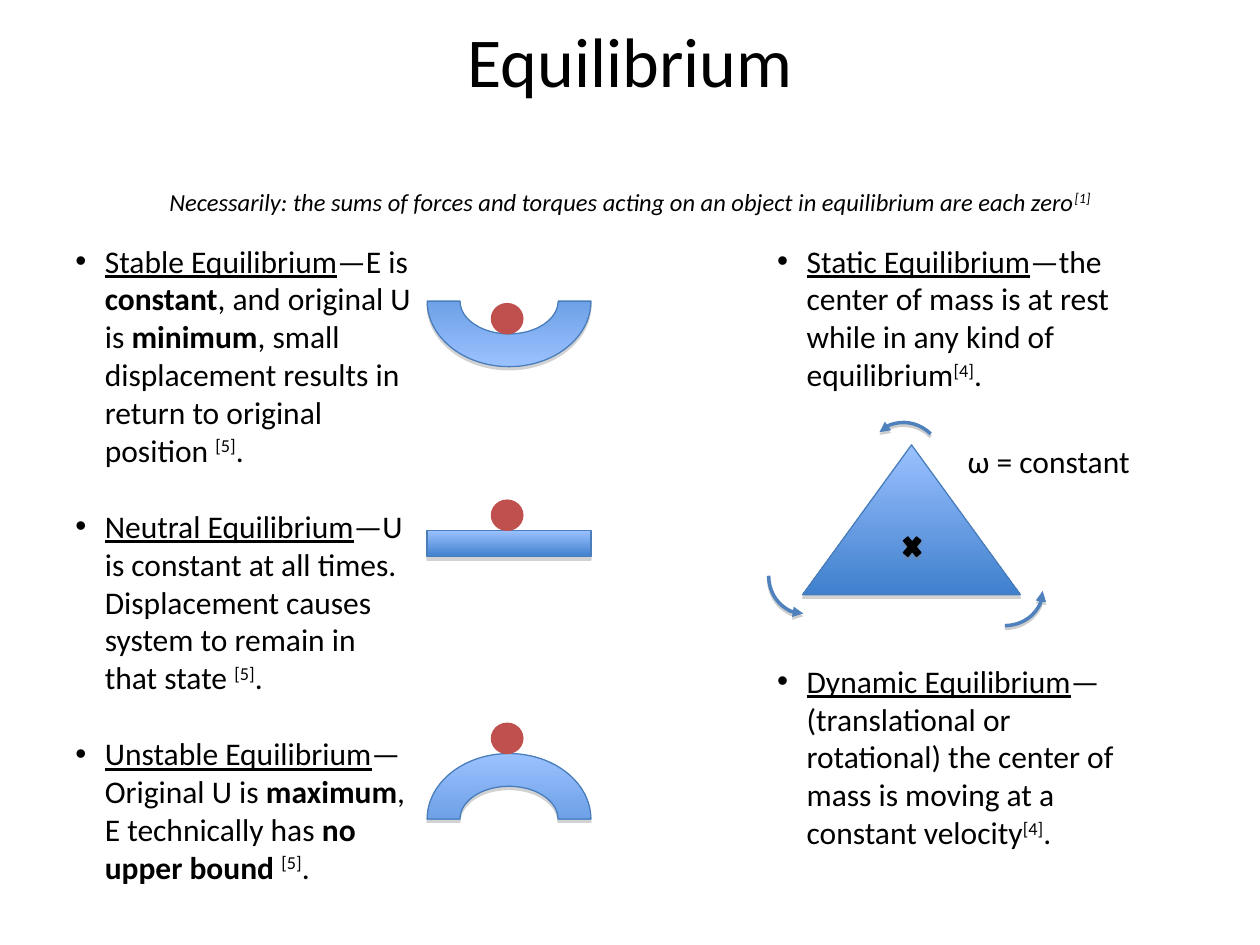
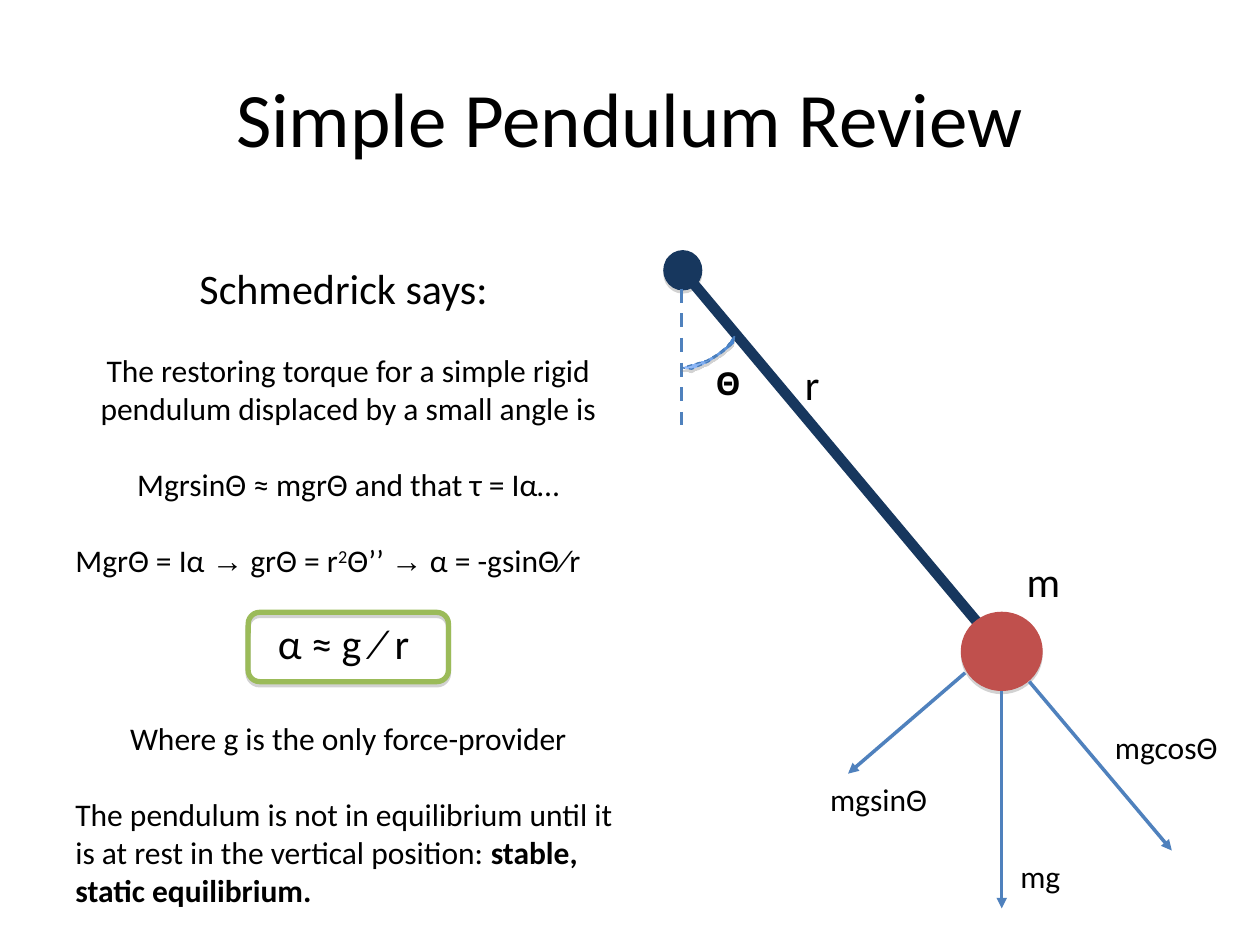
from dataclasses import dataclass

from lxml.etree import SubElement
from pptx import Presentation
from pptx.dml.color import RGBColor
from pptx.enum.dml import MSO_LINE
from pptx.enum.shapes import MSO_CONNECTOR, MSO_SHAPE
from pptx.enum.text import MSO_ANCHOR, PP_ALIGN
from pptx.oxml.ns import qn
from pptx.util import Pt


@dataclass(frozen=True)
class Theme:
    font: str = "Calibri"
    arrow_font: str = "Arial"
    angle_font: str = "Open Sans"
    black: str = "000000"
    red: str = "C0504D"
    navy: str = "17375E"
    blue: str = "4F81BD"
    outline: str = "4A7EBB"
    green: str = "9BBB59"
    light: str = "9BC1FF"
    dark: str = "3F80CD"
    shadow: str = "808080"
    title: int = 44
    title_small: int = 40
    large: int = 24
    body: int = 18
    note: int = 14
    hairline: float = 0.75
    arrow: float = 2
    frame: float = 3
    rod: float = 6
    indent: float = 16.88


T = Theme()
LINE = T.body * 1.22
TITLE_BOX = (36, 21.6, 648, 90)

EQUILIBRIUM_TITLE = [
    dict(runs=[("Equilibrium", "")], size=T.title_small, center=True),
    dict(runs=[("Necessarily: the sums of forces and torques acting on an object "
                "in equilibrium are each zero", "i"), ("[1]", "i^")],
         size=T.note, center=True, gap=T.title_small * 1.22),
]
ENERGY_BOX = (36, 134.6, 208, 396)
ENERGY = [
    dict(bullet=True, runs=[
        ("Stable Equilibrium", "u"), ("—E is ", ""), ("constant", "b"),
        (", and original U is ", ""), ("minimum", "b"),
        (", small displacement results in return to original position ", ""),
        ("[5]", "^"), (".", "")]),
    dict(bullet=True, gap=LINE, runs=[
        ("Neutral Equilibrium", "u"),
        ("—U is constant at all times. Displacement causes system to remain "
         "in that state ", ""), ("[5]", "^"), (".", "")]),
    dict(bullet=True, gap=LINE, runs=[
        ("Unstable Equilibrium", "u"), ("—Original U is ", ""), ("maximum", "b"),
        (", E technically has ", ""), ("no upper bound ", "b"),
        ("[5]", "^"), (".", "")]),
]
MOTION_BOX = (437, 134.6, 219.6, 352.8)
MOTION = [
    dict(bullet=True, runs=[
        ("Static Equilibrium", "u"),
        ("—the center of mass is at rest while in any kind of equilibrium", ""),
        ("[4]", "^"), (".", "")]),
    dict(bullet=True, gap=7 * LINE, runs=[
        ("Dynamic Equilibrium", "u"),
        ("—(translational or rotational) the center of mass is moving at a "
         "constant velocity", ""), ("[4]", "^"), (".", "")]),
]
SURFACE_LEFT, SURFACE_WIDTH = 244.1, 93.6
BALL_LEFT, BALL_WIDTH, BALL_HEIGHT = 280.8, 18, 17.3
SURFACES = [
    (MSO_SHAPE.BLOCK_ARC, 134.6, 74.9, 180, 0.75),
    (MSO_SHAPE.BLOCK_ARC, 430.6, 74.9, 0, 0),
    (MSO_SHAPE.RECTANGLE, 303.1, 15.1, 0, 0),
]
TRIANGLE = (458.6, 254.2, 124.6, 85.7)
MASS_CENTER = (514.1, 303.8, 14.4, 17.3)
SPIN_SIZE = (39.6, 43.2)
SPINS = [(498.2, 240.5, 314.4), (439.2, 307.4, 180), (554.4, 316.1, 90)]
OMEGA = ("ω = constant", (545.8, 249.1, 114.5, 28.8), T.body)

PENDULUM_TITLE = [
    dict(runs=[("Simple Pendulum Review", "")], size=T.title, center=True)]
DERIVATION_BOX = (36, 146.2, 326.2, 390)
DERIVATION = [
    dict(center=True, size=T.large, runs=[("Schmedrick says: ", "")]),
    dict(center=True, gap=LINE, runs=[
        ("The restoring torque for a simple rigid pendulum displaced by a "
         "small angle is", "")]),
    dict(center=True, gap=LINE, runs=[("MgrsinΘ ≈ mgrΘ and that τ = Ια…", "")]),
    dict(gap=LINE, runs=[
        ("MgrΘ = Ια ", ""), ("→", "a"), (" grΘ = r", ""), ("2", "^"),
        ("Θ’’ ", ""), ("→", "a"), (" α = -gsinΘ⁄r", "")]),
    dict(center=True, gap=LINE, size=T.large, runs=[("α ≈ g ⁄ r ", "")]),
    dict(center=True, gap=T.large * 1.22,
         runs=[("Where g is the only force-provider", "")]),
    dict(gap=LINE, runs=[
        ("The pendulum is not in equilibrium until it is at rest in the "
         "vertical position: ", ""), ("stable, static equilibrium.", "b")]),
]
RESULT_FRAME = (141.8, 349.9, 114.5, 39.6)
PIVOT = (379.4, 143.3, 21.6, 22.3)
BOB = (549.4, 349.9, 46.1, 44.6)
ROD = ((383, 146.2), (572.4, 372.2))
VERTICAL = ((389.5, 164.9), (389.5, 242.6))
FORCES = [
    ((551.5, 384.5), (484.6, 442.1)),
    ((588.2, 389.5), (669.6, 486)),
    ((572.4, 394.6), (572.4, 519.1)),
]
ANGLE_TENTHS = [
    (4198, 1922), (4190, 1962), (4126, 2016), (4046, 2069), (3953, 2110),
    (3895, 2102), (4039, 2059), (4100, 2023), (4154, 1980), (4190, 1930),
]
ANGLE_LABEL = (401.8, 204.5, 28.8, 28.8)
LABELS = [
    ("mgsinΘ", (467.3, 442.1, 105, 28.8), T.body),
    ("mgcosΘ", (630, 412.6, 90, 28.8), T.body),
    ("mg", (576, 486, 54.7, 28.8), T.body),
    ("r", (452.9, 201.6, 31.7, 36), T.large),
    ("m", (579.6, 313.9, 31.7, 36), T.large),
]


def color(value):
    return RGBColor.from_string(value)


def add_run(p, text, flags, size, font):
    r = p.add_run()
    r.text = text
    r.font.name = T.arrow_font if "a" in flags else font
    r.font.size = Pt(size)
    r.font.color.rgb = color(T.black)
    r.font.bold = "b" in flags
    r.font.italic = "i" in flags
    r.font.underline = "u" in flags
    if "^" in flags:
        r.font._element.set("baseline", "30000")


def add_bullet(p):
    pPr = p._p.get_or_add_pPr()
    pPr.set("marL", str(Pt(T.indent)))
    pPr.set("indent", str(-Pt(T.indent)))
    SubElement(pPr, qn("a:buFont"), typeface="Arial")
    SubElement(pPr, qn("a:buChar"), char="•")


def add_text(s, box, paragraphs, anchor=MSO_ANCHOR.TOP, font=T.font):
    tf = s.shapes.add_textbox(*map(Pt, box)).text_frame
    tf.word_wrap = True
    tf.vertical_anchor = anchor
    for i, item in enumerate(paragraphs):
        p = tf.paragraphs[0] if i == 0 else tf.add_paragraph()
        p.alignment = PP_ALIGN.CENTER if item.get("center") else PP_ALIGN.LEFT
        p.space_before = Pt(item.get("gap", 0))
        if item.get("bullet"):
            add_bullet(p)
        for text, flags in item["runs"]:
            add_run(p, text, flags, item.get("size", T.body), font)


def add_label(s, text, box, size):
    add_text(s, box, [dict(runs=[(text, "")], size=size)])


def add_shadow(sp, distance=1.8, alpha=35):
    effects = sp._element.spPr.find(qn("a:effectLst"))
    shadow = SubElement(effects, qn("a:outerShdw"), blurRad="0",
                        dist=str(Pt(distance)), dir="5400000", rotWithShape="0")
    rgb = SubElement(shadow, qn("a:srgbClr"), val=T.shadow)
    SubElement(rgb, qn("a:alpha"), val=str(alpha * 1000))


def style(sp, line, fill=None, width=T.hairline, shadow=True):
    if fill:
        sp.fill.solid()
        sp.fill.fore_color.rgb = color(fill)
    else:
        sp.fill.background()
    sp.line.color.rgb = color(line)
    sp.line.width = Pt(width)
    sp.shadow.inherit = False
    if shadow:
        add_shadow(sp)


def style_gradient(sp, angle=270):
    style(sp, T.outline)
    sp.fill.gradient()
    sp.fill.gradient_angle = angle
    for stop, value in zip(sp.fill.gradient_stops, (T.light, T.dark)):
        stop.color.rgb = color(value)


def add_shape(s, kind, box, rotation=0):
    sp = s.shapes.add_shape(kind, *map(Pt, box))
    sp.rotation = rotation
    return sp


def add_line(s, ends, line, width):
    (x1, y1), (x2, y2) = ends
    cn = s.shapes.add_connector(MSO_CONNECTOR.STRAIGHT,
                                Pt(x1), Pt(y1), Pt(x2), Pt(y2))
    cn.line.color.rgb = color(line)
    cn.line.width = Pt(width)
    SubElement(cn._element.spPr, qn("a:effectLst"))
    return cn


def add_arrowhead(sp, end):
    SubElement(sp.line._get_or_add_ln(), qn(f"a:{end}"), type="triangle")


def add_slide(prs, title):
    s = prs.slides.add_slide(prs.slide_layouts[6])
    add_text(s, TITLE_BOX, title, MSO_ANCHOR.MIDDLE)
    return s


def build_equilibrium(prs):
    s = add_slide(prs, EQUILIBRIUM_TITLE)
    add_text(s, ENERGY_BOX, ENERGY)
    add_text(s, MOTION_BOX, MOTION)
    for kind, top, height, rotation, depth in SURFACES:
        box = (SURFACE_LEFT, top, SURFACE_WIDTH, height)
        style_gradient(add_shape(s, kind, box, rotation))
        ball_top = top + depth * height - BALL_HEIGHT
        ball = add_shape(s, MSO_SHAPE.OVAL,
                         (BALL_LEFT, ball_top, BALL_WIDTH, BALL_HEIGHT))
        style(ball, T.red, T.red, shadow=False)
    style_gradient(add_shape(s, MSO_SHAPE.FLOWCHART_EXTRACT, TRIANGLE))
    style(add_shape(s, MSO_SHAPE.MATH_MULTIPLY, MASS_CENTER), T.black, T.black)
    for left, top, rotation in SPINS:
        spin = add_shape(s, MSO_SHAPE.ARC, (left, top, *SPIN_SIZE), rotation)
        style(spin, T.blue, width=T.arrow, shadow=False)
        add_shadow(spin, 1.6, 38)
        add_arrowhead(spin, "headEnd")
    add_label(s, *OMEGA)


def build_pendulum(prs):
    s = add_slide(prs, PENDULUM_TITLE)
    style(add_shape(s, MSO_SHAPE.OVAL, PIVOT), T.navy, T.navy)
    add_line(s, ROD, T.navy, T.rod)
    add_line(s, VERTICAL, T.blue, T.arrow).line.dash_style = MSO_LINE.DASH
    builder = s.shapes.build_freeform(*ANGLE_TENTHS[0], scale=Pt(0.1))
    builder.add_line_segments(ANGLE_TENTHS[1:], close=True)
    angle = builder.convert_to_shape()
    style_gradient(angle, 59)
    angle.line.dash_style = MSO_LINE.DASH
    add_text(s, ANGLE_LABEL, [dict(runs=[("Θ", "b")])], font=T.angle_font)
    style(add_shape(s, MSO_SHAPE.OVAL, BOB), T.red, T.red)
    for force in FORCES:
        add_arrowhead(add_line(s, force, T.blue, T.arrow), "tailEnd")
    add_text(s, DERIVATION_BOX, DERIVATION)
    for label in LABELS:
        add_label(s, *label)
    style(add_shape(s, MSO_SHAPE.ROUNDED_RECTANGLE, RESULT_FRAME),
          T.green, width=T.frame)


def main():
    prs = Presentation()
    prs.slide_width, prs.slide_height = Pt(720), Pt(540)
    build_equilibrium(prs)
    build_pendulum(prs)
    prs.save("out.pptx")


if __name__ == "__main__":
    main()
